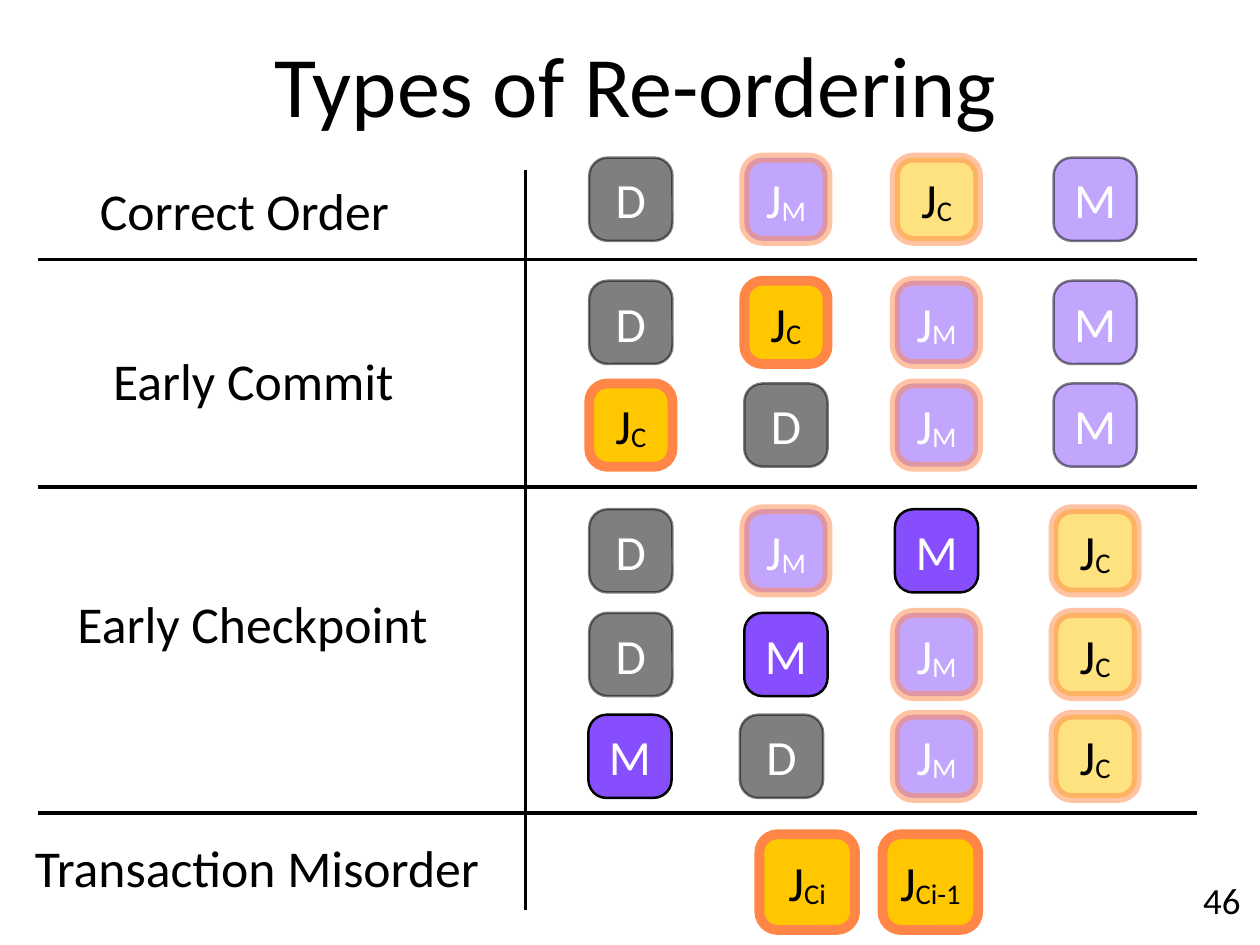
from dataclasses import dataclass

from lxml.etree import SubElement
from pptx import Presentation
from pptx.dml.color import RGBColor
from pptx.enum.shapes import MSO_CONNECTOR, MSO_SHAPE
from pptx.enum.text import MSO_ANCHOR, MSO_AUTO_SIZE, PP_ALIGN
from pptx.oxml.ns import qn
from pptx.util import Inches, Pt


@dataclass(frozen=True)
class Theme:
    font: str = "Calibri"
    title_size: int = 70
    label_size: int = 42
    block_size: int = 40
    number_size: int = 30
    rule_width: int = 3
    thin_outline: int = 2
    thick_outline: int = 8
    black: str = "000000"
    white: str = "FFFFFF"
    purple: str = "874EFE"
    yellow: str = "FEC700"
    orange: str = "FF8647"


@dataclass(frozen=True)
class Block:
    letter: str
    subscript: str
    fill: str
    text_color: str
    faded: bool = False


THEME = Theme()
DATA = Block("D", "", THEME.black, THEME.white, True)
METADATA = Block("M", "", THEME.purple, THEME.white)
FADED_METADATA = Block("M", "", THEME.purple, THEME.white, True)
JOURNAL = Block("J", "M", THEME.purple, THEME.white, True)
COMMIT = Block("J", "C", THEME.yellow, THEME.black)
FADED_COMMIT = Block("J", "C", THEME.yellow, THEME.black, True)
COMMIT_CURRENT = Block("J", "Ci", THEME.yellow, THEME.black)
COMMIT_PREVIOUS = Block("J", "Ci-1", THEME.yellow, THEME.black)

COLUMNS = (6.65, 8.4, 10.1, 11.89)
SHIFTED_COLUMNS = (6.64, 8.35, 10.1, 11.89)
PAIR_COLUMNS = (8.57, 9.96)
BLOCK_SIDE, PAIR_SIDE = 0.94, 1.08
CORNER_RADIUS = 0.208

# Each section: label, label box, block side, rows of (top, columns, blocks)
SECTIONS = [
    ("Correct Order", (1.06, 1.97, 3.4, 0.79), BLOCK_SIDE, [
        (1.78, COLUMNS, (DATA, JOURNAL, FADED_COMMIT, FADED_METADATA)),
    ]),
    ("Early Commit", (1.21, 3.89, 3.3, 0.79), BLOCK_SIDE, [
        (3.17, COLUMNS, (DATA, COMMIT, JOURNAL, FADED_METADATA)),
        (4.33, COLUMNS, (COMMIT, DATA, JOURNAL, FADED_METADATA)),
    ]),
    ("Early Checkpoint", (0.8, 6.64, 4.1, 0.79), BLOCK_SIDE, [
        (5.75, COLUMNS, (DATA, JOURNAL, METADATA, FADED_COMMIT)),
        (6.92, COLUMNS, (DATA, METADATA, JOURNAL, FADED_COMMIT)),
        (8.07, SHIFTED_COLUMNS, (METADATA, DATA, JOURNAL, FADED_COMMIT)),
    ]),
    ("Transaction Misorder", (0.32, 9.39, 5.16, 0.79), PAIR_SIDE, [
        (9.42, PAIR_COLUMNS, (COMMIT_CURRENT, COMMIT_PREVIOUS)),
    ]),
]


class SlideBuilder:
    def __init__(self, slide, theme):
        self.slide = slide
        self.theme = theme

    def format_text(self, frame, size, color, anchor=MSO_ANCHOR.MIDDLE):
        frame.vertical_anchor = anchor
        frame.margin_left = frame.margin_right = Inches(0.06)
        frame.margin_top = frame.margin_bottom = Inches(0.06)
        paragraph = frame.paragraphs[0]
        paragraph.alignment = PP_ALIGN.CENTER
        for run in paragraph.runs:
            run.font.name = self.theme.font
            run.font.size = Pt(size)
            run.font.color.rgb = RGBColor.from_string(color)

    def title(self, text, box):
        title = self.slide.shapes.title
        title.left, title.top, title.width, title.height = map(Inches, box)
        title.text_frame.text = text
        title.text_frame.auto_size = MSO_AUTO_SIZE.NONE
        self.format_text(title.text_frame, self.theme.title_size, self.theme.black)

    def label(self, text, box, size, anchor=MSO_ANCHOR.MIDDLE):
        frame = self.slide.shapes.add_textbox(*map(Inches, box)).text_frame
        frame.text = text
        frame.word_wrap = False
        frame.auto_size = MSO_AUTO_SIZE.SHAPE_TO_FIT_TEXT
        self.format_text(frame, size, self.theme.black, anchor)

    def rule(self, *ends):
        connector = self.slide.shapes.add_connector(
            MSO_CONNECTOR.STRAIGHT, *map(Inches, ends))
        connector.line.width = Pt(self.theme.rule_width)
        connector.line.color.rgb = RGBColor.from_string(self.theme.black)
        SubElement(connector._element.spPr, qn("a:effectLst"))

    def block(self, group, block, left, top, side):
        theme = self.theme
        shape = group.shapes.add_shape(
            MSO_SHAPE.ROUNDED_RECTANGLE, *map(Inches, (left, top, side, side)))
        shape.adjustments[0] = round(CORNER_RADIUS / side, 2)
        shape.shadow.inherit = False
        shape.fill.solid()
        shape.fill.fore_color.rgb = RGBColor.from_string(block.fill)
        journaled = bool(block.subscript)
        shape.line.width = Pt(theme.thick_outline if journaled else theme.thin_outline)
        shape.line.color.rgb = RGBColor.from_string(
            theme.orange if journaled else theme.black)
        if block.faded:
            for color in shape._element.spPr.iter(qn("a:srgbClr")):
                SubElement(color, qn("a:alpha"), val="50000")

        paragraph = shape.text_frame.paragraphs[0]
        paragraph.add_run().text = block.letter
        if journaled:
            subscript = paragraph.add_run()
            subscript.text = block.subscript
            subscript.font._element.set("baseline", "-6000")
        self.format_text(shape.text_frame, theme.block_size, block.text_color)

    def block_rows(self, rows, side):
        group = self.slide.shapes.add_group_shape()
        for top, columns, blocks in rows:
            for left, block in zip(columns, blocks):
                self.block(group, block, left, top, side)


def main():
    presentation = Presentation()
    presentation.slide_width = Inches(14.22)
    presentation.slide_height = Inches(10.67)
    title_only = presentation.slide_layouts[5]
    builder = SlideBuilder(presentation.slides.add_slide(title_only), THEME)

    builder.title("Types of Re-ordering", (0.26, 0.28, 13.83, 1.31))
    builder.label("46", (13.46, 9.85, 0.66, 0.6), THEME.number_size, MSO_ANCHOR.TOP)
    for height in (2.93, 5.5, 9.18):
        builder.rule(0.43, height, 13.51, height)
    builder.rule(5.93, 10.28, 5.93, 1.92)
    for text, box, side, rows in SECTIONS:
        builder.label(text, box, THEME.label_size)
        builder.block_rows(rows, side)

    presentation.save("out.pptx")


if __name__ == "__main__":
    main()
